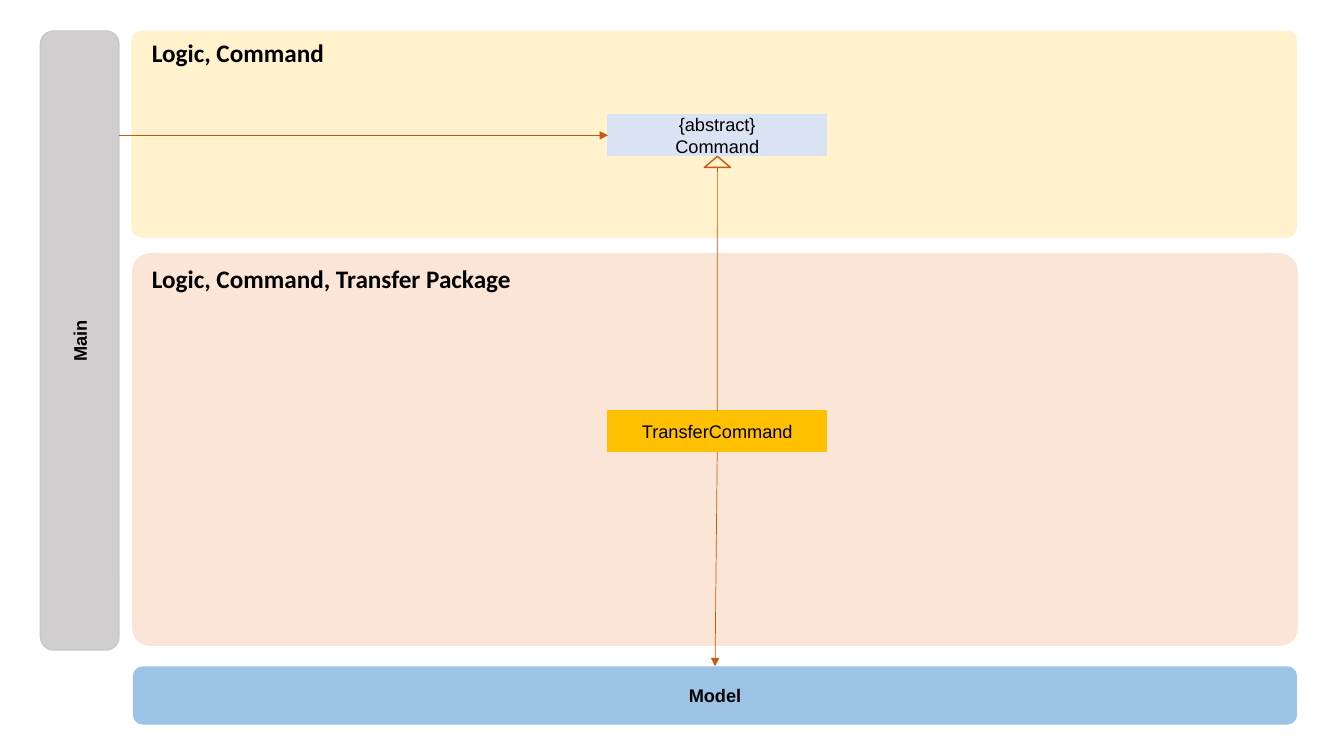
from lxml import etree
from pptx import Presentation
from pptx import util as u
from pptx.dml.color import RGBColor
from pptx.enum import shapes, text
from pptx.oxml import ns

COLOURS = {
    "black": "000000",
    "cream": "FFF2CC",
    "peach": "FBE5D6",
    "pale_blue": "DAE3F3",
    "amber": "FFC000",
    "blue": "9DC3E6",
    "grey": "D0CECE",
    "grey_edge": "C9C9C9",
    "rust": "C55A11",
}
KIND = shapes.MSO_SHAPE


def rgb(name):
    return RGBColor.from_string(COLOURS[name])


def write(tf, content, size=13, font="Arial", bold=False, align=text.PP_ALIGN.CENTER):
    for i, line in enumerate(content.split("\n")):
        p = tf.paragraphs[0] if i == 0 else tf.add_paragraph()
        p.alignment = align
        r = p.add_run()
        r.text = line
        r.font.size = u.Pt(size)
        r.font.name = font
        r.font.bold = bold
        r.font.color.rgb = rgb("black")


class Diagram:
    line_width = u.Pt(0.5)
    edge_width = u.Pt(1)

    def __init__(self, slide):
        self.s = slide

    def shape(self, kind, box, fill=None, edge=None, corner=None, label="", bold=False):
        sp = self.s.shapes.add_shape(kind, *map(u.Cm, box))
        sp.shadow.inherit = False
        if corner is not None:
            sp.adjustments[0] = corner
        if fill:
            sp.fill.solid()
            sp.fill.fore_color.rgb = rgb(fill)
        else:
            sp.fill.background()
        if edge:
            sp.line.color.rgb = rgb(edge)
            sp.line.width = self.edge_width
        else:
            sp.line.fill.background()
        if label:
            tf = sp.text_frame
            tf.word_wrap = True
            tf.vertical_anchor = text.MSO_ANCHOR.MIDDLE
            write(tf, label, bold=bold)
        return sp

    def panel(self, box, colour):
        return self.shape(KIND.ROUNDED_RECTANGLE, box, colour, colour, corner=0.044)

    def class_box(self, top, colour, label):
        return self.shape(KIND.RECTANGLE, (15.32, top, 5.51, 1.02), colour, colour, label=label)

    def heading(self, box, content):
        tf = self.s.shapes.add_textbox(*map(u.Cm, box)).text_frame
        tf.word_wrap = False
        tf.auto_size = text.MSO_AUTO_SIZE.SHAPE_TO_FIT_TEXT
        write(tf, content, size=18, font="Calibri", bold=True, align=text.PP_ALIGN.LEFT)

    def connector(self, start, end, begin=None, finish=None, arrow=True):
        cx = self.s.shapes.add_connector(
            shapes.MSO_CONNECTOR.STRAIGHT, *map(u.Cm, start + end))
        if begin:
            cx.begin_connect(*begin)
        if finish:
            cx.end_connect(*finish)
        cx.line.color.rgb = rgb("rust")
        cx.line.width = self.line_width
        if arrow:
            ln = cx.line._get_or_add_ln()
            etree.SubElement(ln, ns.qn("a:tailEnd"), type="triangle")
        etree.SubElement(cx._element.spPr, ns.qn("a:effectLst"))


def main():
    prs = Presentation()
    prs.slide_width, prs.slide_height = u.Cm(33.87), u.Cm(19.05)
    d = Diagram(prs.slides.add_slide(prs.slide_layouts[6]))

    d.panel((3.35, 6.4, 29.34, 9.86), "peach")
    d.panel((3.33, 0.79, 29.34, 5.18), "cream")
    command = d.class_box(2.9, "pale_blue", "{abstract}\nCommand")
    transfer = d.class_box(10.36, "amber", "TransferCommand")
    d.heading((3.58, 0.81, 4.9, 1.02), "Logic, Command")
    model = d.shape(KIND.ROUNDED_RECTANGLE, (3.35, 16.79, 29.34, 1.47), "blue",
                    label="Model", bold=True)
    main_bar = d.shape(KIND.ROUNDED_RECTANGLE, (-5.79, 7.59, 15.6, 1.98), "grey",
                       "grey_edge", label="Main", bold=True)
    main_bar.rotation = 270

    d.shape(KIND.ISOSCELES_TRIANGLE, (17.75, 3.94, 0.66, 0.28), edge="rust")
    d.connector((18.08, 10.36), (18.08, 4.22), begin=(transfer, 0), arrow=False)
    d.connector((18.08, 11.38), (18.02, 16.79), begin=(transfer, 2), finish=(model, 0))
    d.connector((3, 3.41), (15.32, 3.41), finish=(command, 1))
    d.heading((3.58, 6.5, 9.65, 1.02), "Logic, Command, Transfer Package")

    prs.save("out.pptx")


if __name__ == "__main__":
    main()
